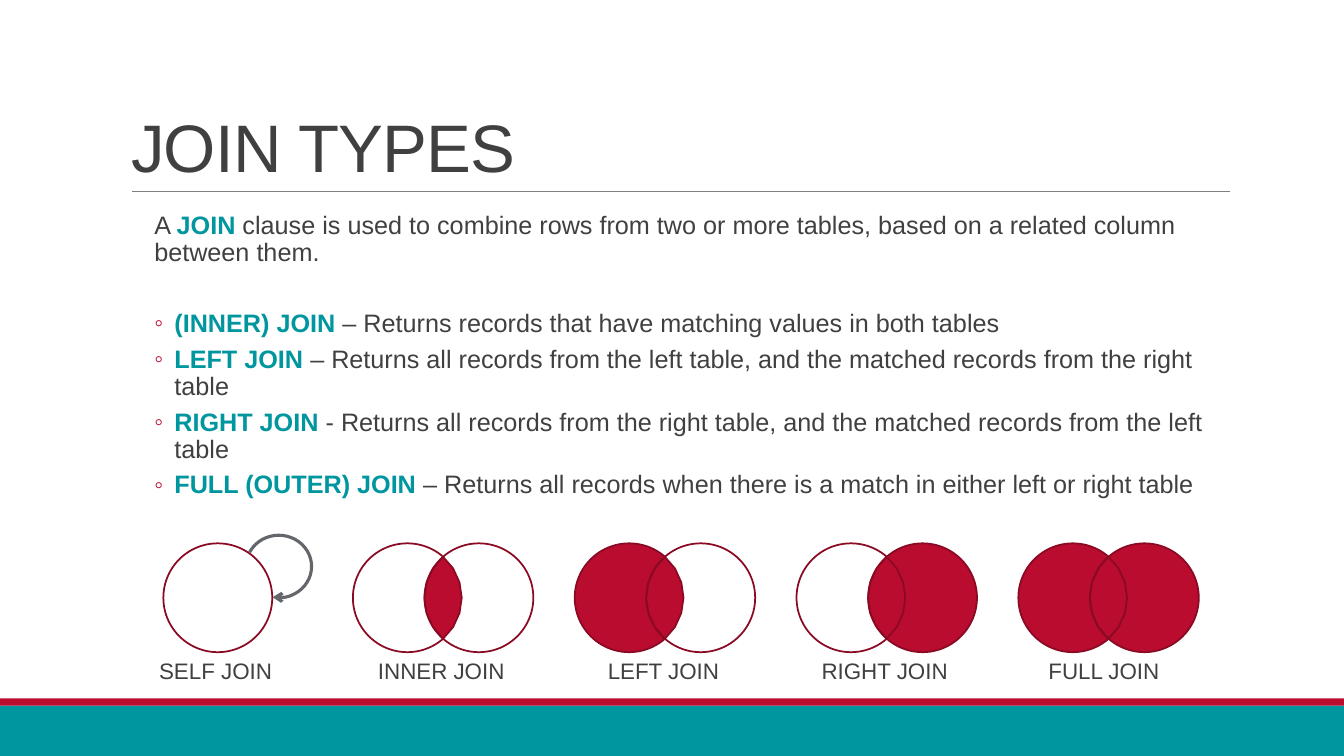
from math import acos, cos, sin
from lxml.etree import SubElement
from pptx import Presentation
from pptx.dml.color import RGBColor
from pptx.enum.shapes import MSO_CONNECTOR as CONN, MSO_SHAPE as SHAPE
from pptx.enum.text import MSO_ANCHOR as ANCHOR, MSO_AUTO_SIZE as AUTO, PP_ALIGN as ALIGN
from pptx.oxml.ns import qn
from pptx.util import Inches, Pt

TEAL, RED, DARK_RED, WHITE, TEXT = "00969F", "BA0C2F", "8A0923", "FFFFFF", "404040"
rgb = RGBColor.from_string


def paint(sp, fill, line=None):
    sp.shadow.inherit = False
    sp.fill.solid()
    sp.fill.fore_color.rgb = rgb(fill)
    if line:
        sp.line.color.rgb = rgb(line)
        sp.line.width = Pt(1.25)
    else:
        sp.line.fill.background()


def style(r, size, color=TEXT, bold=False):
    r.font.name = "Arial"
    r.font.size = Pt(size)
    r.font.bold = bold
    r.font.color.rgb = rgb(color)


prs = Presentation()
prs.slide_width, prs.slide_height = Inches(13.33), Inches(7.5)
s = prs.slides.add_slide(prs.slide_layouts[1])

for top, height, color in [(7, 0.5, TEAL), (6.93, 0.07, RED)]:
    band = s.shapes.add_shape(SHAPE.RECTANGLE, 0, Inches(top), prs.slide_width, Inches(height))
    paint(band, color)

rule = s.shapes.add_connector(CONN.STRAIGHT, Inches(1.31), Inches(1.9), Inches(12.2), Inches(1.9))
rule.line.color.rgb = rgb("808080")
rule.line.width = Pt(0.5)
SubElement(rule._element.spPr, qn("a:effectLst"))

title = s.shapes.title
title.left, title.top, title.width, title.height = Inches(1.2), Inches(0.31), Inches(11), Inches(1.59)
tf = title.text_frame
tf.text = "JOIN TYPES"
tf.auto_size = AUTO.NONE
tf.vertical_anchor = ANCHOR.BOTTOM
p = tf.paragraphs[0]
p.alignment = ALIGN.LEFT
p.line_spacing = 0.85
style(p.runs[0], 48)
p.runs[0].font._element.set("spc", "-50")

body = s.placeholders[1]
body.left, body.top, body.width, body.height = Inches(1.31), Inches(2.06), Inches(11), Inches(3.17)
tf = body.text_frame
tf.auto_size = AUTO.NONE
tf.vertical_anchor = ANCHOR.TOP
tf.margin_left = tf.margin_right = 0
lines = [
    ("A ", "JOIN", " clause is used to combine rows from two or more tables, based on a related column between them."),
    ("", "(INNER) JOIN", " – Returns records that have matching values in both tables"),
    ("", "LEFT JOIN ", "– Returns all records from the left table, and the matched records from the right table"),
    ("", "RIGHT JOIN ", "- Returns all records from the right table, and the matched records from the left table"),
    ("", "FULL (OUTER) JOIN", " – Returns all records when there is a match in either left or right table"),
]
for i, (lead, term, rest) in enumerate(lines):
    p = tf.paragraphs[0] if i == 0 else tf.add_paragraph()
    p.level = 1
    p.line_spacing = 0.9
    p.space_before = Pt(2)
    p.space_after = Pt(4 if i else 29.2)
    for text, color in [(lead, TEXT), (term, TEAL), (rest, TEXT)]:
        if text:
            r = p.add_run()
            r.text = text
            style(r, 18, color, color == TEAL)
    pPr = p._p.get_or_add_pPr()
    pPr.set("marL", str(Inches(0.42 if i else 0.22)))
    pPr.set("indent", str(Inches(-0.2 if i else 0)))
    if i:
        SubElement(SubElement(pPr, qn("a:buClr")), qn("a:srgbClr"), val=RED)
        SubElement(pPr, qn("a:buFont"), typeface="Arial")
        SubElement(pPr, qn("a:buChar"), char="◦")
    else:
        SubElement(pPr, qn("a:buNone"))

RADIUS, SHIFT, CIRCLE_TOP, STEPS = 0.54, 0.71, 5.39, 6
half_angle = acos(SHIFT / 2 / RADIUS)
angles = [half_angle * (2 * k / STEPS - 1) for k in range(STEPS)]
right_arc = [(RADIUS * cos(a) - SHIFT / 2, RADIUS * sin(a)) for a in angles]
lens_points = right_arc + [(-x, -y) for x, y in right_arc]

joins = [
    ("LEFT JOIN", 5.7, 5.93, 1.32, [RED, WHITE]),
    ("RIGHT JOIN", 7.9, 8.05, 1.48, [WHITE, RED]),
    ("FULL JOIN", 10.1, 10.3, 1.39, [RED, RED]),
    ("INNER JOIN", 3.5, 3.65, 1.49, [WHITE, WHITE]),
    ("SELF JOIN", 1.62, 1.48, 1.46, [WHITE]),
]
for name, left, label_left, label_width, fills in joins:
    group = s.shapes.add_group_shape()
    for i, fill in enumerate(fills):
        circle = group.shapes.add_shape(SHAPE.OVAL, Inches(left + SHIFT * i), Inches(CIRCLE_TOP),
                                        Inches(2 * RADIUS), Inches(2 * RADIUS))
        paint(circle, fill, DARK_RED)
    if len(fills) == 2:
        cx, cy = left + RADIUS + SHIFT / 2, CIRCLE_TOP + RADIUS
        points = [(Inches(cx + x), Inches(cy + y)) for x, y in lens_points]
        builder = group.shapes.build_freeform(*points[0])
        builder.add_line_segments(points[1:], close=True)
        paint(builder.convert_to_shape(), RED, DARK_RED)
    label = group.shapes.add_textbox(Inches(label_left), Inches(6.47), Inches(label_width), Inches(0.37))
    tf = label.text_frame
    tf.word_wrap = True
    tf.text = name
    style(tf.paragraphs[0].runs[0], 16)

loop = group.shapes.add_shape(SHAPE.ARC, Inches(2.44), Inches(5.31), Inches(0.65), Inches(0.62))
loop.adjustments[0], loop.adjustments[1] = 123.586, 60.808
loop.shadow.inherit = False
loop.fill.background()
loop.line.color.rgb = rgb("63666A")
loop.line.width = Pt(2.25)
SubElement(loop.line._get_or_add_ln(), qn("a:tailEnd"), type="arrow")

prs.save("out.pptx")
